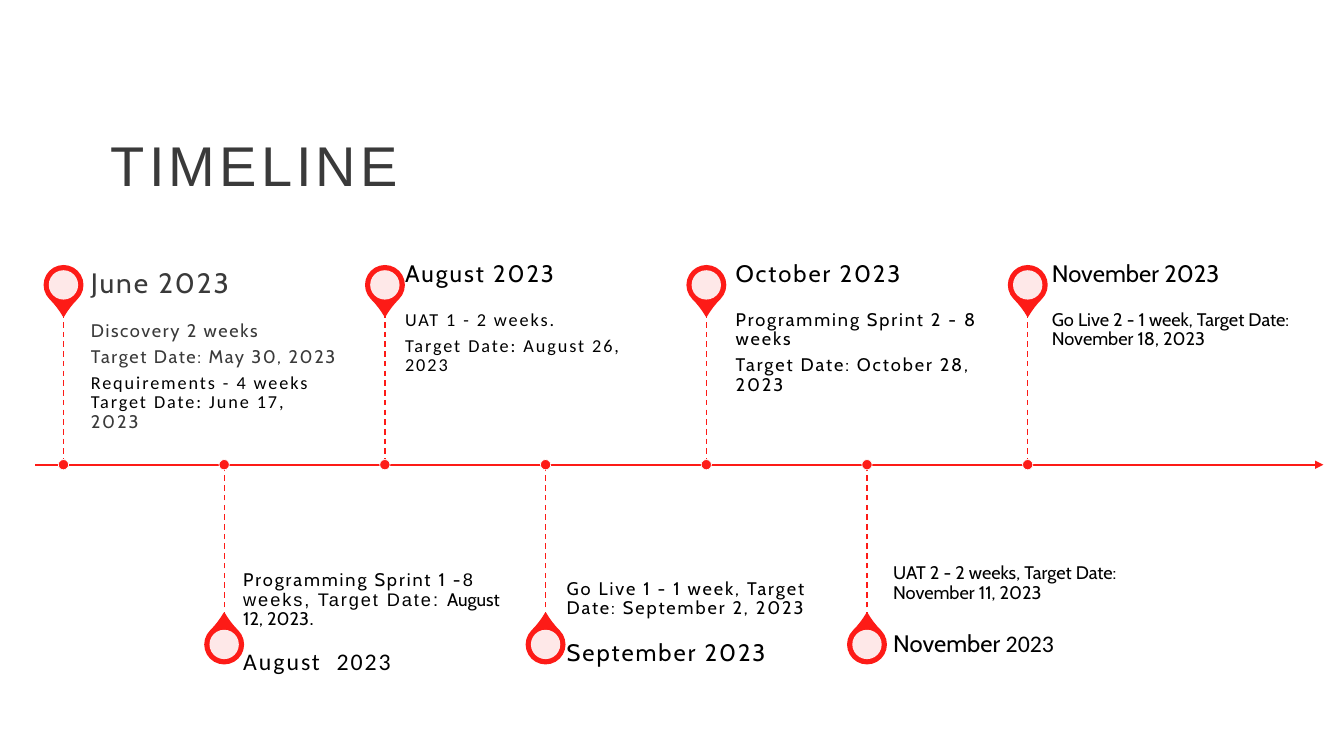
from dataclasses import dataclass

from lxml import etree
from pptx import Presentation
from pptx.dml.color import RGBColor
from pptx.enum.dml import MSO_LINE
from pptx.enum.shapes import MSO_CONNECTOR, MSO_SHAPE
from pptx.enum.text import MSO_ANCHOR, MSO_AUTO_SIZE, PP_ALIGN
from pptx.oxml.ns import qn
from pptx.util import Cm, Pt

STRAIGHT = MSO_CONNECTOR.STRAIGHT
TEARDROP, OVAL = MSO_SHAPE.TEAR, MSO_SHAPE.OVAL
TOP, MIDDLE, BOTTOM = MSO_ANCHOR.TOP, MSO_ANCHOR.MIDDLE, MSO_ANCHOR.BOTTOM
LEFT, NO_FIT, DASH = PP_ALIGN.LEFT, MSO_AUTO_SIZE.NONE, MSO_LINE.DASH

RED, WHITE, BLACK, GRAY = "FD1B17", "FFFFFF", "000000", "3A3A3A"
CABIN, CALIBRI, ARIAL = "Cabin", "Calibri", "Arial"
BREAK = "\v"

# Timeline geometry in cm
AXIS_BOX = (0.89, 11.71, 32.46)  # left, height of the axis, length
FIRST_STEM, STEM_PITCH, STEM_LENGTH = 1.6, 4.05, 3.84
PIN_DISTANCE, PIN_SIZE, PIN_HOLE, DOT_SIZE = 4.53, 0.97, 0.74, 0.26
TEXT_WIDTH, HEADING_HEIGHT, DETAIL_HEIGHT = 6.73, 1.35, 3.86
DETAIL_SIZE = 13


@dataclass
class Milestone:
    gap: float  # from stem to text
    heading_shift: float  # from pin centre to heading centre
    detail_shift: float  # from pin centre to the nearest edge of the details
    heading: list  # runs: text, font, letter spacing, colour
    details: list  # paragraphs of runs
    heading_size: int = 17


MILESTONES = [
    Milestone(0.69, 0, 0.69, [("June 2023", CABIN, 1.4, GRAY)],
              [[("Discovery 2 weeks", CABIN, 1.2, GRAY)],
               [("Target Date: May 30, 2023", CABIN, 1.2, GRAY)],
               [("Requirements - 4 weeks Target Date: June 17, ", CALIBRI, 1.4, BLACK),
                (BREAK, CALIBRI, 1.4, BLACK),
                ("2023", CABIN, 1.4, GRAY)]], 20),
    Milestone(0.48, 0.45, -0.14, [("August  2023", CALIBRI, 1.4, BLACK)],
              [[("Programming Sprint 1 -", CABIN, 1.4, BLACK),
                ("8 weeks, Target Date: ", ARIAL, 1.4, BLACK),
                ("August 12, 2023", CABIN, 0, BLACK),
                (".", ARIAL, 0, BLACK)]]),
    Milestone(0.51, -0.26, 0.41, [("August 2023", CABIN, 1.4, BLACK)],
              [[("UAT 1 - 2 weeks.", CALIBRI, 1.4, BLACK)],
               [("Target Date: August 26, 2023", CALIBRI, 1.4, BLACK)]]),
    Milestone(0.53, 0.23, -0.42, [("September 2023", CABIN, 1.4, BLACK)],
              [[("Go Live 1 - 1 week, Target Date: September 2, 2023", CABIN, 1.4, BLACK)]]),
    Milestone(0.74, -0.26, 0.41, [("October 2023", CABIN, 1.4, BLACK)],
              [[("Programming Sprint 2 - 8 weeks", CABIN, 1.4, BLACK)],
               [("Target Date: October 28, 2023", CABIN, 1.4, BLACK)]]),
    Milestone(0.66, 0.02, -0.8, [("November", CABIN, 0, BLACK), (" 2023", CALIBRI, 0, BLACK)],
              [[("UAT 2 - 2 weeks, Target Date: November 11, 2023", CABIN, 0, BLACK)]]),
    Milestone(0.61, -0.26, 0.41, [("November 2023", CABIN, 0, BLACK)],
              [[("Go Live 2 - 1 week, Target Date: November 18, 2023", CABIN, 0, BLACK)]]),
]


def color(hex_code):
    return RGBColor.from_string(hex_code)


def style_run(run, size, font, spacing, hex_code):
    run.font.size = Pt(size)
    run.font.name = font
    run.font.color.rgb = color(hex_code)
    run._r.get_or_add_rPr().set("spc", str(round(spacing * 100)))


def set_margins(frame, left, top, right, bottom):
    frame.margin_left, frame.margin_top = Cm(left), Cm(top)
    frame.margin_right, frame.margin_bottom = Cm(right), Cm(bottom)


def add_text(slide, box, paragraphs, size, anchor, margins):
    frame = slide.shapes.add_textbox(*map(Cm, box)).text_frame
    frame.word_wrap = True
    frame.vertical_anchor = anchor
    set_margins(frame, *margins)
    for index, runs in enumerate(paragraphs):
        paragraph = frame.add_paragraph() if index else frame.paragraphs[0]
        paragraph.line_spacing = 0.9
        paragraph.space_after = Pt(size * 0.35)
        for text, *style in runs:
            if text == BREAK:
                paragraph.add_line_break()
                etree.SubElement(paragraph._p[-1], qn("a:rPr"), sz=str(size * 100))
                continue
            run = paragraph.add_run()
            run.text = text
            style_run(run, size, *style)


def add_line(slide, start, end, width):
    line = slide.shapes.add_connector(STRAIGHT, *map(Cm, start + end))
    line.line.color.rgb = color(RED)
    line.line.width = Pt(width)
    etree.SubElement(line._element.spPr, qn("a:effectLst"))
    return line


def add_round(slide, kind, center, size, fill, outline=None, width=0):
    x, y = center
    shape = slide.shapes.add_shape(kind, Cm(x - size / 2), Cm(y - size / 2), Cm(size), Cm(size))
    shape.shadow.inherit = False
    shape.fill.solid()
    shape.fill.fore_color.rgb = color(fill)
    if outline:
        shape.line.color.rgb = color(outline)
        shape.line.width = Pt(width)
    else:
        shape.line.fill.background()
    return shape


def add_title(slide, box):
    title = slide.shapes.title
    title.left, title.top, title.width, title.height = map(Cm, box)
    frame = title.text_frame
    frame.text = "TIMELINE"
    frame.vertical_anchor = MIDDLE
    frame.auto_size = NO_FIT
    paragraph = frame.paragraphs[0]
    paragraph.alignment = LEFT
    paragraph.line_spacing = 0.9
    style_run(paragraph.runs[0], 40, ARIAL, 3, GRAY)


def add_pin(slide, center, above):
    drop = add_round(slide, TEARDROP, center, PIN_SIZE, RED, RED, 1)
    drop.adjustments[0] = 1.15
    drop.rotation = 135 if above else 315
    hole = add_round(slide, OVAL, center, PIN_HOLE, WHITE)
    solid = hole._element.spPr.find(qn("a:solidFill"))
    etree.SubElement(solid[0], qn("a:alpha"), val="90000")


def add_milestone(slide, x, axis_y, above, milestone):
    direction = -1 if above else 1
    pin_y = axis_y + direction * PIN_DISTANCE
    add_pin(slide, (x, pin_y), above)

    # Details and heading
    left = x + milestone.gap
    detail_top = pin_y + milestone.detail_shift - (0 if above else DETAIL_HEIGHT)
    heading_top = pin_y + milestone.heading_shift - HEADING_HEIGHT / 2
    add_text(slide, (left, detail_top, TEXT_WIDTH, DETAIL_HEIGHT), milestone.details,
             DETAIL_SIZE, TOP if above else BOTTOM,
             (0, 0.23, 0.23, 0.36) if above else (0, 0.36, 0, 0.23))
    add_text(slide, (left, heading_top, TEXT_WIDTH, HEADING_HEIGHT), [milestone.heading],
             milestone.heading_size, MIDDLE, (0, 0, 0.3, 0))

    # Stem and its dot on the axis
    stem = add_line(slide, (x, axis_y + direction * STEM_LENGTH), (x, axis_y), 1)
    stem.line.dash_style = DASH
    add_round(slide, OVAL, (x, axis_y), DOT_SIZE, RED, WHITE, 0.5)


def add_timeline(slide, box):
    left, axis_y, length = box
    axis = add_line(slide, (left, axis_y), (left + length, axis_y), 1.5)
    etree.SubElement(axis.line._get_or_add_ln(), qn("a:tailEnd"), type="triangle")
    for index, milestone in enumerate(MILESTONES):
        add_milestone(slide, FIRST_STEM + index * STEM_PITCH, axis_y, index % 2 == 0, milestone)


def main():
    deck = Presentation()
    deck.slide_width, deck.slide_height = Cm(33.87), Cm(19.05)
    slide = deck.slides.add_slide(deck.slide_layouts[5])
    add_title(slide, (2.54, 2.74, 23.47, 3))
    add_timeline(slide, AXIS_BOX)
    deck.save("out.pptx")


if __name__ == "__main__":
    main()
